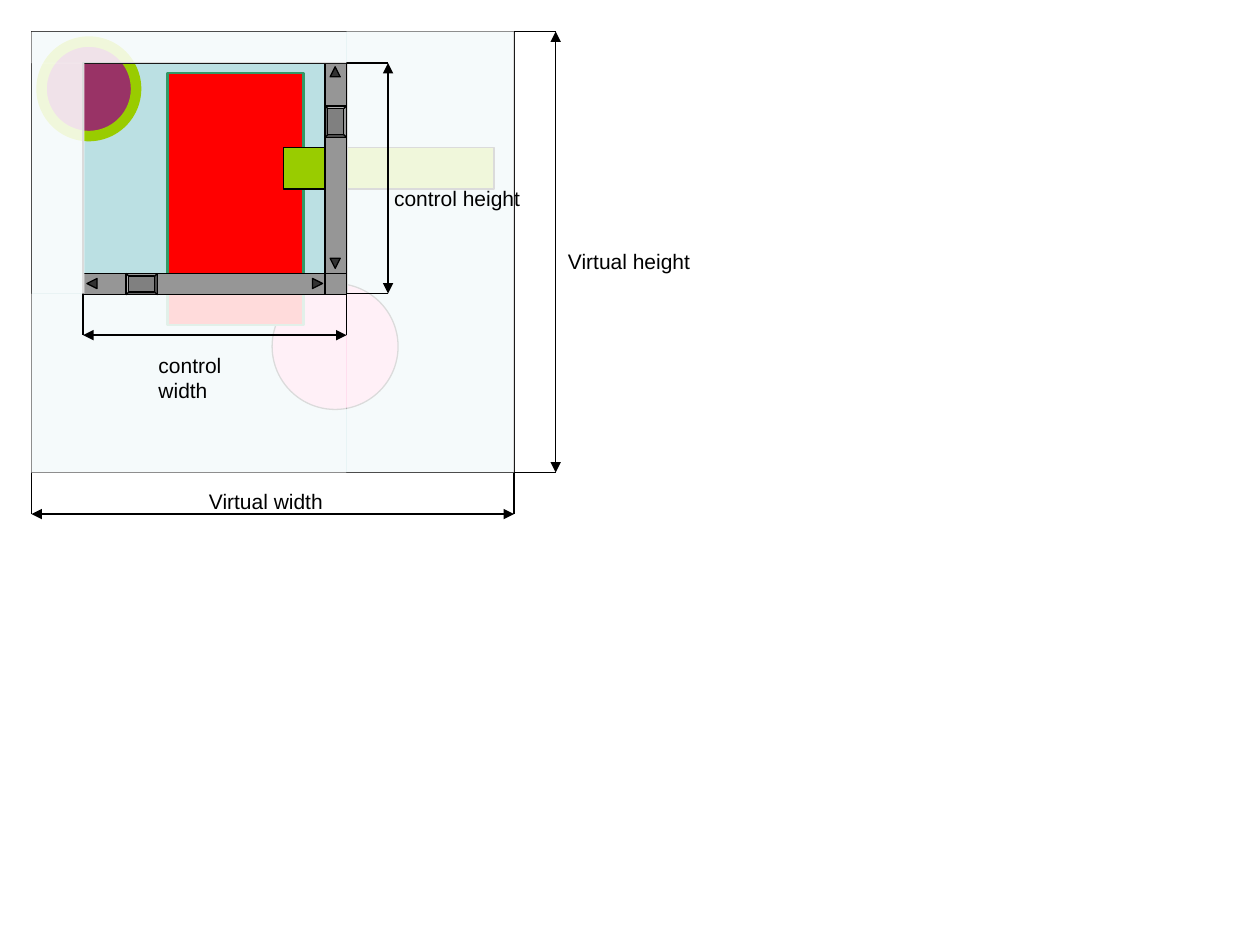
"""Build a slide that sets a scrolling control against its virtual area."""
import dataclasses

import lxml.etree
import pptx
import pptx.dml.color
import pptx.enum.shapes
import pptx.enum.text
import pptx.oxml.ns
import pptx.util

Inches = pptx.util.Inches
Kind = pptx.enum.shapes.MSO_SHAPE
qn = pptx.oxml.ns.qn


@dataclasses.dataclass(frozen=True)
class Theme:
    """Hold the colours, font and sizes of the slide."""
    ink: str = "000000"
    area: str = "BBE0E3"
    plum: str = "993366"
    lime: str = "99CC00"
    pink: str = "FF99CC"
    red: str = "FF0000"
    green: str = "339966"
    track: str = "969696"
    thumb: str = "808080"
    arrow: str = "333333"
    veil: str = "FFFFFF"
    cover: int = 86
    font: str = "Arial"
    size: int = 12
    thin: float = 0.75
    bold: float = 1.5
    thick: float = 6


THEME = Theme()


def tint(code):
    """Return a colour from its hex code."""
    return pptx.dml.color.RGBColor.from_string(code)


def apply(target, values):
    """Set each named attribute on the target."""
    for name, value in values.items():
        setattr(target, name, value)


def stroke(line, color=THEME.ink, width=THEME.thin):
    """Give a line a solid colour and a width."""
    line.fill.solid()
    line.fill.fore_color.rgb = tint(color)
    line.width = pptx.util.Pt(width)


def shape(parent, kind, box, fill=None, edge=THEME.ink, width=THEME.thin, turn=0):
    """Add a preset shape, with no fill or edge where none is given."""
    item = parent.shapes.add_shape(kind, *map(Inches, box))
    item.shadow.inherit = False
    item.rotation = turn
    if fill:
        item.fill.solid()
        item.fill.fore_color.rgb = tint(fill)
    else:
        item.fill.background()
    if edge:
        stroke(item.line, edge, width)
    else:
        item.line.fill.background()
    return item


def veil(slide, box):
    """Cover an area with a pale, partly clear sheet."""
    item = shape(slide, Kind.FLOWCHART_PROCESS, box, THEME.veil, edge=None)
    color = item.fill._xPr.find(qn("a:solidFill"))[0]
    lxml.etree.SubElement(color, qn("a:alpha"), val=str(THEME.cover * 1000))


def rule(slide, start, end, heads=False):
    """Draw a straight line, with arrowheads at both ends on request."""
    item = slide.shapes.add_connector(
        pptx.enum.shapes.MSO_CONNECTOR.STRAIGHT, *map(Inches, (*start, *end)))
    stroke(item.line)
    if heads:
        for tag in ("a:headEnd", "a:tailEnd"):
            lxml.etree.SubElement(item.line._ln, qn(tag), type="triangle")
    lxml.etree.SubElement(item._element.spPr, qn("a:effectLst"))


def span(slide, box, gap=0.33):
    """Mark the width below a box and the height on its right."""
    left, top, wide, high = box
    right, base = left + wide, top + high
    for y in (top, base):
        rule(slide, (right, y), (right + gap, y))
    for x in (left, right):
        rule(slide, (x, base), (x, base + gap))
    rule(slide, (left, base + gap), (right, base + gap), heads=True)
    rule(slide, (right + gap, top), (right + gap, base), heads=True)


def label(slide, text, box):
    """Add a one-line label."""
    frame = slide.shapes.add_textbox(*map(Inches, box)).text_frame
    apply(frame, {"text": text, "word_wrap": False,
                  "auto_size": pptx.enum.text.MSO_AUTO_SIZE.SHAPE_TO_FIT_TEXT})
    font = frame.paragraphs[0].runs[0].font
    apply(font, {"name": THEME.font, "size": pptx.util.Pt(THEME.size)})
    font.color.rgb = tint(THEME.ink)


def scene(slide, area):
    """Draw the virtual area and the forms that lie on it."""
    group = slide.shapes.add_group_shape()
    block, disc = Kind.FLOWCHART_PROCESS, Kind.FLOWCHART_CONNECTOR
    shape(group, block, area, THEME.area)
    shape(group, disc, (0.33, 0.33, 0.75, 0.75), THEME.plum, THEME.lime, THEME.thick)
    shape(group, disc, (2.16, 2.25, 1, 1), THEME.pink)
    shape(group, block, (1.33, 0.58, 1.08, 2), THEME.red, THEME.green, THEME.bold)
    shape(group, block, (2.25, 1.17, 1.67, 0.33), THEME.lime)


def scroll(slide, track, tips):
    """Draw a scroll bar with an arrow at each end."""
    group = slide.shapes.add_group_shape()
    shape(group, Kind.FLOWCHART_PROCESS, track, THEME.track)
    for x, y, turn in tips:
        shape(group, Kind.FLOWCHART_EXTRACT, (x, y, 0.08, 0.08), THEME.arrow, turn=turn)


def main():
    """Build and save the slide."""
    deck = pptx.Presentation()
    apply(deck, {"slide_width": Inches(10), "slide_height": Inches(7.5)})
    slide = deck.slides.add_slide(deck.slide_layouts[6])
    area, view = (0.25, 0.25, 3.83, 3.5), (0.66, 0.5, 2.09, 1.83)

    scene(slide, area)
    shape(slide, Kind.FLOWCHART_PROCESS, view, width=THEME.bold)
    veil(slide, (2.75, 0.25, 1.33, 3.5))
    veil(slide, (0.25, 2.33, 2.5, 1.42))
    span(slide, area)
    label(slide, "Virtual width", (1.56, 3.83, 1.11, 0.3))
    label(slide, "Virtual height", (4.41, 1.92, 1.17, 0.3))

    scroll(slide, (0.66, 2.17, 1.92, 0.17), [(0.69, 2.21, 270), (2.48, 2.21, 90)])
    scroll(slide, (2.58, 0.5, 0.17, 1.67), [(2.62, 0.53, 0), (2.62, 2.05, 180)])
    shape(slide, Kind.FLOWCHART_PROCESS, (2.58, 2.17, 0.17, 0.17), THEME.track)
    for x, y, turn in ((1, 2.17, 0), (2.54, 0.88, 90)):
        thumb = shape(slide, Kind.BEVEL, (x, y, 0.25, 0.17), THEME.thumb, turn=turn)
        thumb.adjustments[0] = 0.125

    veil(slide, (0.25, 0.25, 2.5, 0.25))
    veil(slide, (0.25, 0.5, 0.42, 1.83))
    span(slide, view)
    label(slide, "control width", (1.16, 2.75, 1.13, 0.3))
    label(slide, "control height", (3.03, 1.42, 1.2, 0.3))
    deck.save("out.pptx")


if __name__ == "__main__":
    main()
